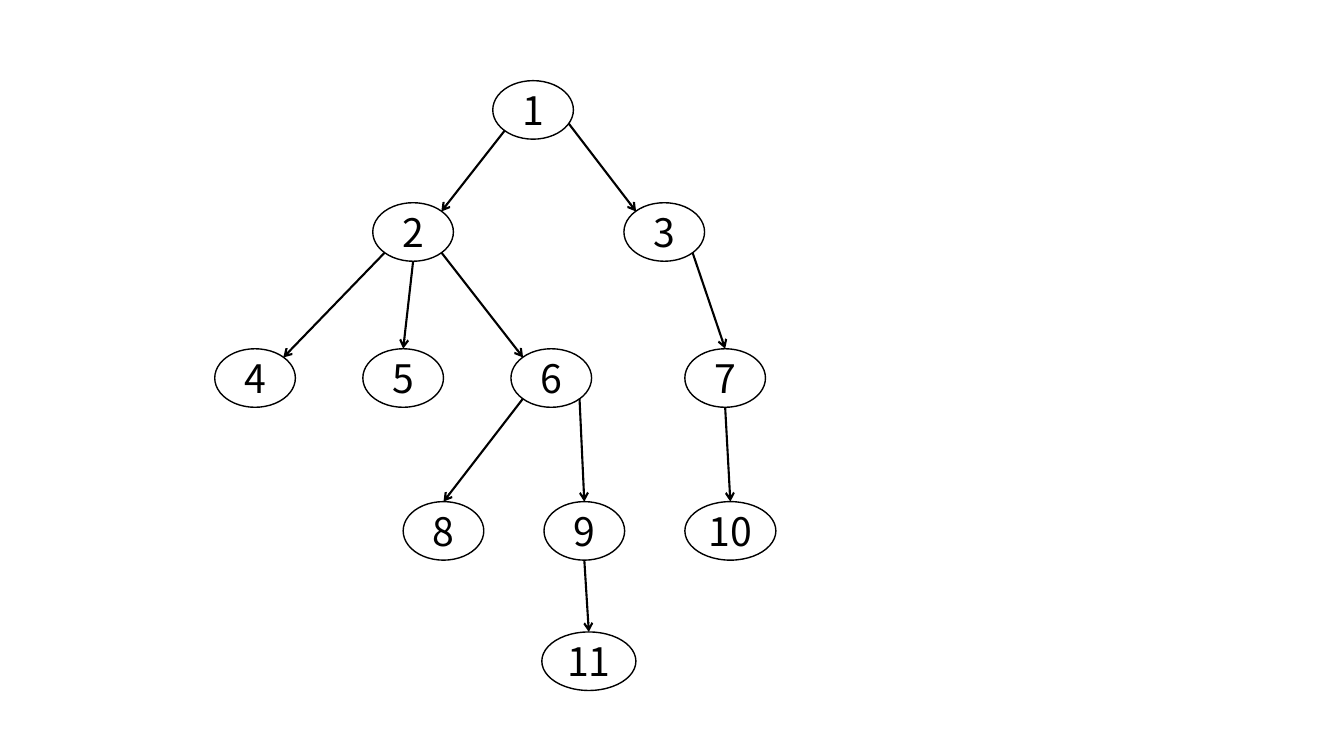
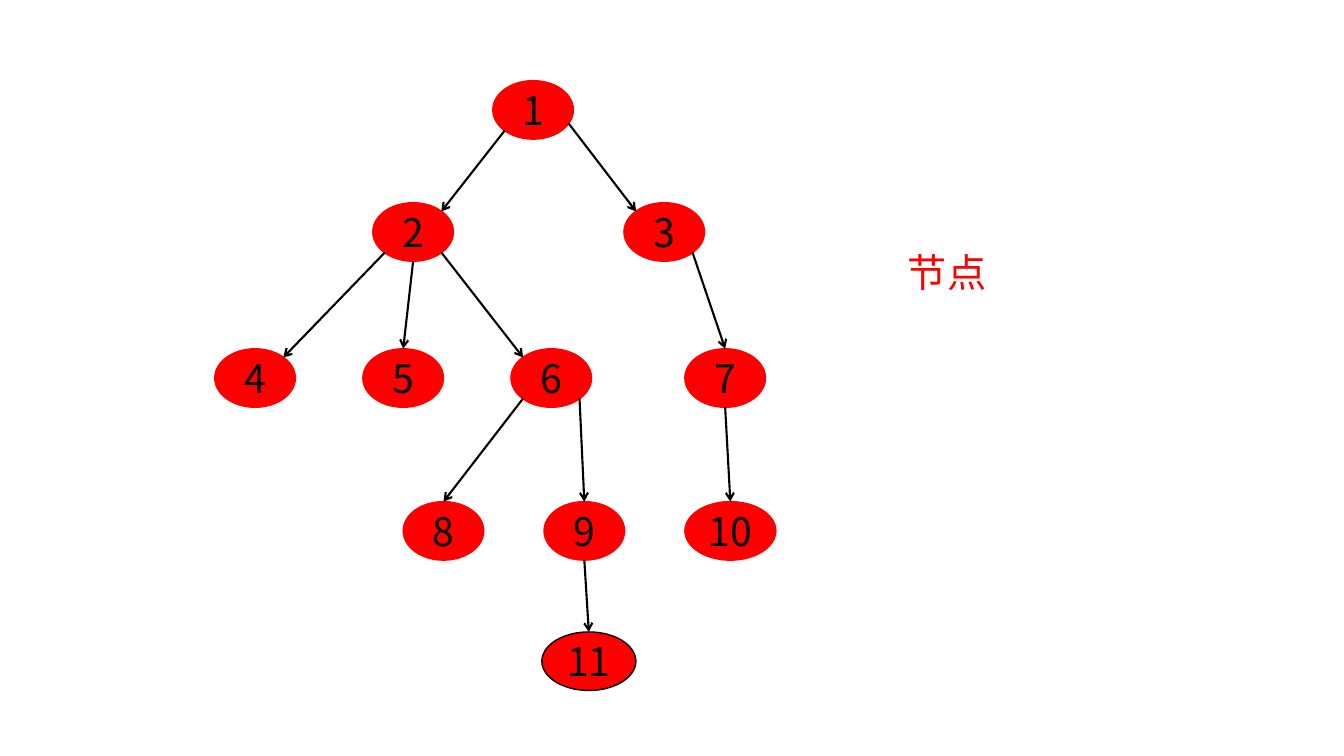
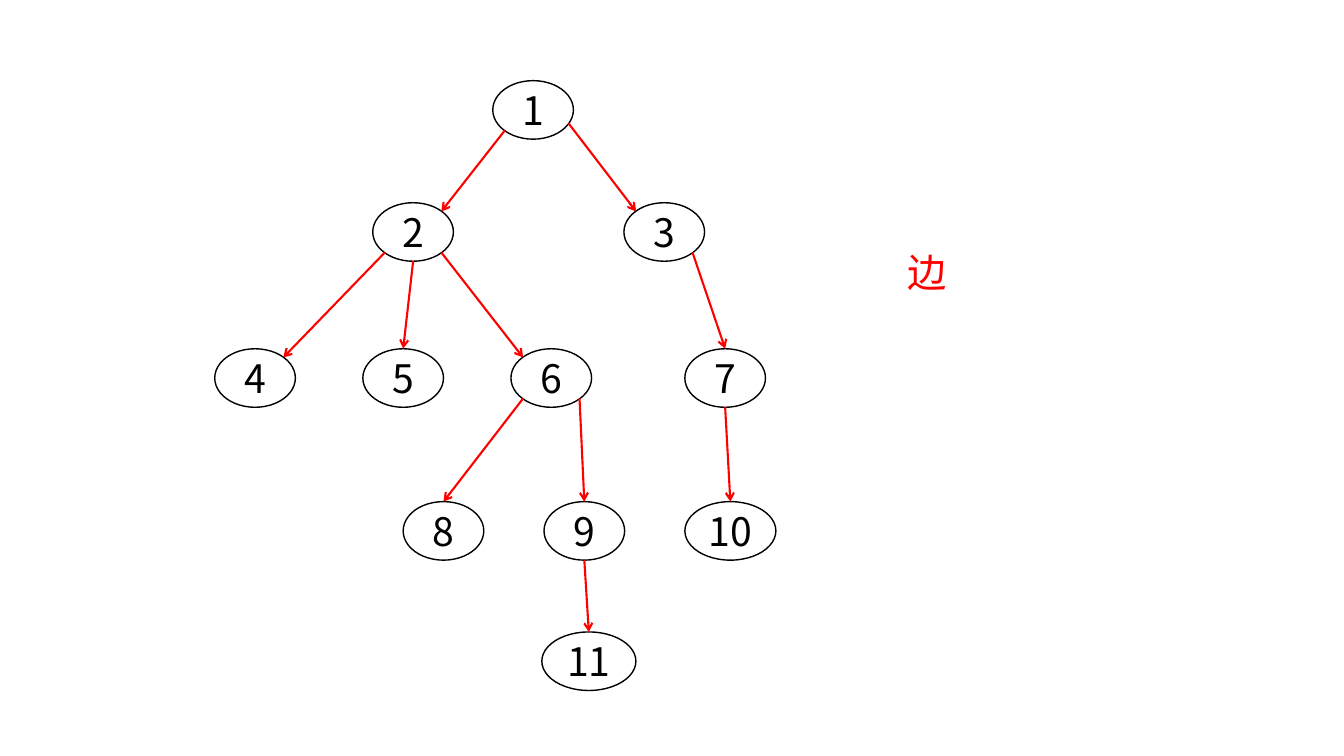
"""Build three slides of one tree: plain, with its nodes marked, and with its edges marked."""
import lxml.etree
import pptx
import pptx.dml.color
import pptx.enum.shapes
import pptx.enum.text
import pptx.oxml.ns
import pptx.util

Pt = pptx.util.Pt
qn = pptx.oxml.ns.qn

COLORS = {
    name: pptx.dml.color.RGBColor.from_string(value)
    for name, value in {"ink": "000000", "paper": "FFFFFF", "mark": "FF0000"}.items()
}
FONT = "Noto Sans CJK SC"
FONT_SIZE = 28
NODE_WIDTH = 57.6
NODE_HEIGHT = 41.8

LEVELS = [
    (57.6, [("1", 352, NODE_WIDTH)]),
    (144.8, [("2", 266.3, NODE_WIDTH), ("3", 445.7, NODE_WIDTH)]),
    (249.1, [("4", 153.4, NODE_WIDTH), ("5", 259.2, NODE_WIDTH),
             ("6", 365, NODE_WIDTH), ("7", 489.2, NODE_WIDTH)]),
    (358.3, [("8", 288, NODE_WIDTH), ("9", 388.6, NODE_WIDTH), ("10", 489.2, 65)]),
    (451.4, [("11", 387, 67.2)]),
]
ANCHORS = {
    "top": (0.5, 0), "bottom": (0.5, 1),
    "top left": (0.15, 0.15), "top right": (0.85, 0.15),
    "bottom left": (0.15, 0.85), "bottom right": (0.85, 0.85),
    "right": (0.94, 0.73),
}
EDGES = [
    ("1", "bottom left", "2", "top right"),
    ("1", "right", "3", "top left"),
    ("2", "bottom left", "4", "top right"),
    ("2", "bottom", "5", "top"),
    ("2", "bottom right", "6", "top left"),
    ("3", "bottom right", "7", "top"),
    ("6", "bottom left", "8", "top"),
    ("6", "bottom right", "9", "top"),
    ("7", "bottom", "10", "top"),
    ("9", "bottom", "11", "top"),
]
SLIDES = [
    {"label": "", "fill": "paper", "outline": "ink", "edge": "ink"},
    {"label": "节点", "fill": "mark", "outline": "mark", "edge": "ink"},
    {"label": "边", "fill": "paper", "outline": "ink", "edge": "mark"},
]


def add_run(paragraph, text, color):
    """Add one run in the shared font."""
    run = paragraph.add_run()
    run.text = text
    run.font.size = Pt(FONT_SIZE)
    run.font.name = FONT
    run.font.color.rgb = COLORS[color]
    east_asian = lxml.etree.SubElement(run.font._element, qn("a:ea"))
    east_asian.set("typeface", FONT)


def anchor_point(shape, anchor):
    """Return the place of a named anchor on a node."""
    across, down = ANCHORS[anchor]
    return int(shape.left + across * shape.width), int(shape.top + down * shape.height)


presentation = pptx.Presentation()
presentation.slide_width = Pt(960)
presentation.slide_height = Pt(540)
blank_layout = presentation.slide_layouts[6]

for look in SLIDES:
    slide = presentation.slides.add_slide(blank_layout)
    slide.background.fill.solid()
    slide.background.fill.fore_color.rgb = COLORS["paper"]

    nodes = {}
    for top, level in LEVELS:
        for name, left, width in level:
            node = slide.shapes.add_shape(
                pptx.enum.shapes.MSO_SHAPE.OVAL, Pt(left), Pt(top), Pt(width), Pt(NODE_HEIGHT))
            node.shadow.inherit = False
            node.fill.solid()
            node.fill.fore_color.rgb = COLORS[look["fill"]]
            node.line.color.rgb = COLORS["ink" if name == "11" else look["outline"]]
            node.line.width = Pt(1)
            node.text_frame.word_wrap = False
            node.text_frame.vertical_anchor = pptx.enum.text.MSO_ANCHOR.MIDDLE
            paragraph = node.text_frame.paragraphs[0]
            paragraph.alignment = pptx.enum.text.PP_ALIGN.CENTER
            add_run(paragraph, name, "ink")
            nodes[name] = node

    for parent, start, child, end in EDGES:
        edge = slide.shapes.add_connector(
            pptx.enum.shapes.MSO_CONNECTOR.STRAIGHT,
            *anchor_point(nodes[parent], start), *anchor_point(nodes[child], end))
        if end == "top":
            edge.end_connect(nodes[child], 0)
        edge.line.color.rgb = COLORS[look["edge"]]
        edge.line.width = Pt(1.5)
        arrowhead = lxml.etree.SubElement(edge.line._get_or_add_ln(), qn("a:tailEnd"))
        arrowhead.set("type", "arrow")
        lxml.etree.SubElement(edge._element.spPr, qn("a:effectLst"))

    if look["label"]:
        label = slide.shapes.add_textbox(Pt(641.5), Pt(174.2), Pt(152), Pt(41))
        label.text_frame.word_wrap = True
        label.text_frame.auto_size = pptx.enum.text.MSO_AUTO_SIZE.SHAPE_TO_FIT_TEXT
        add_run(label.text_frame.paragraphs[0], look["label"], "mark")

presentation.save("out.pptx")
